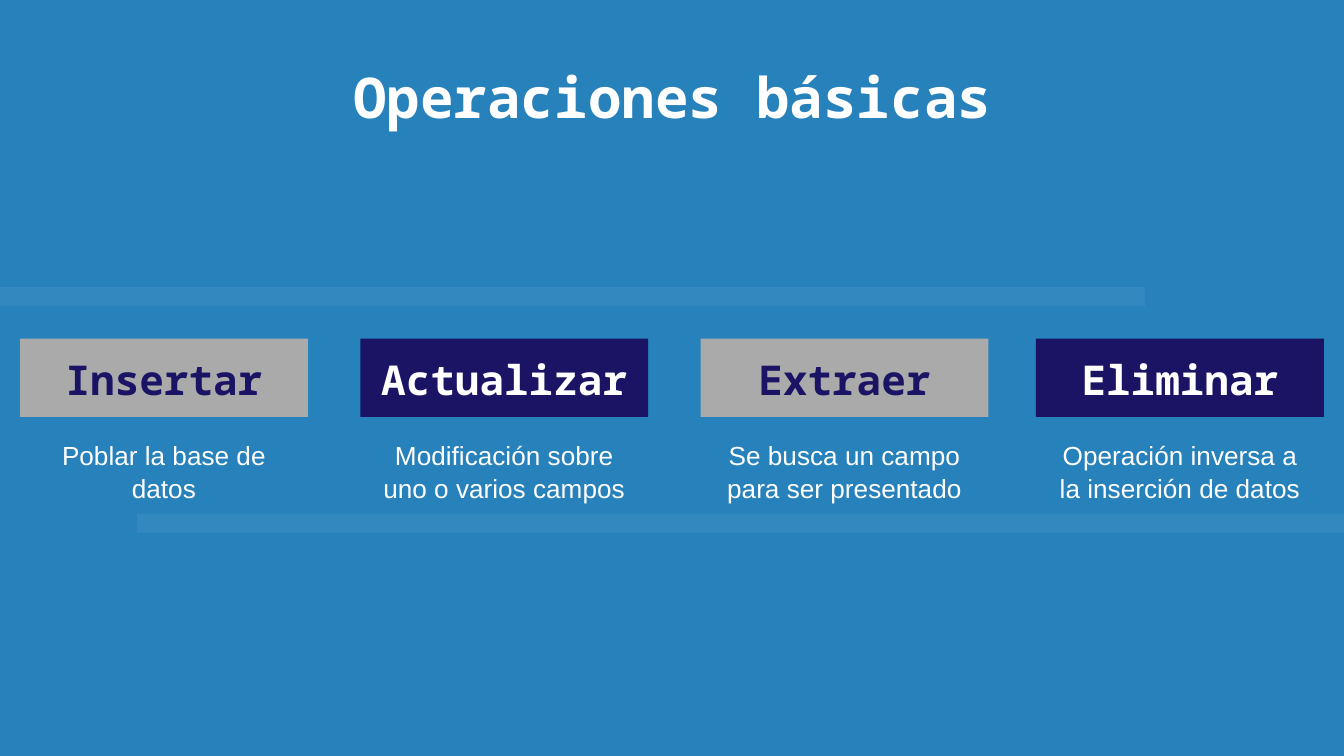
from dataclasses import dataclass

from lxml import etree
from pptx import Presentation
from pptx.dml.color import RGBColor
from pptx.enum.shapes import MSO_SHAPE
from pptx.enum.text import MSO_ANCHOR, MSO_AUTO_SIZE, PP_ALIGN
from pptx.oxml.ns import qn
from pptx.shapes.autoshape import Shape
from pptx.slide import Slide
from pptx.text.text import TextFrame
from pptx.util import Cm, Pt

RECT = MSO_SHAPE.RECTANGLE
TOP, BOTTOM = MSO_ANCHOR.TOP, MSO_ANCHOR.BOTTOM
CENTER = PP_ALIGN.CENTER
FIXED = MSO_AUTO_SIZE.NONE


@dataclass(frozen=True)
class Theme:
    back: str = "2781BB"
    white: str = "FFFFFF"
    navy: str = "1B1464"
    gray: str = "AAAAAA"
    mono: str = "Noto Sans Mono"
    sans: str = "Arial"
    title: int = 30
    head: int = 22
    body: int = 14


@dataclass(frozen=True)
class Card:
    left: float
    head: str
    body: str
    fill: str
    ink: str


@dataclass(frozen=True)
class Bar:
    left: float
    top: float
    width: float


THEME = Theme()
WIDTH, HEIGHT = 25.4, 14.29
CARD_W = 5.44
GRAY = (THEME.gray, THEME.navy)
NAVY = (THEME.navy, THEME.white)

BARS = [Bar(0, 5.43, 21.64), Bar(2.59, 9.71, 22.81)]
CARDS = [
    Card(0.38, "Insertar", "Poblar la base de datos", *GRAY),
    Card(6.81, "Actualizar", "Modificación sobre uno o varios campos", *NAVY),
    Card(13.24, "Extraer", "Se busca un campo para ser presentado", *GRAY),
    Card(19.58, "Eliminar", "Operación inversa a la inserción de datos", *NAVY),
]


def write(frame: TextFrame, text: str, *, size: int, font: str,
          color: str = THEME.white, bold: bool = False,
          anchor: MSO_ANCHOR = TOP, pad: float = 0.25,
          space: float = 1.0) -> None:
    """Fill a frame with one centred paragraph; pad is its top and bottom inset in cm."""
    frame.word_wrap = True
    frame.auto_size = FIXED
    frame.vertical_anchor = anchor
    frame.margin_left = frame.margin_right = Cm(0.25)
    frame.margin_top = frame.margin_bottom = Cm(pad)
    line = frame.paragraphs[0]
    line.alignment = CENTER
    line.line_spacing = space
    run = line.add_run()
    run.text = text
    run.font.size = Pt(size)
    run.font.name = font
    run.font.bold = bold
    run.font.color.rgb = RGBColor.from_string(color)


def add_rect(slide: Slide, left: float, top: float, width: float,
             height: float, fill: str) -> Shape:
    rect = slide.shapes.add_shape(RECT, Cm(left), Cm(top), Cm(width), Cm(height))
    rect.shadow.inherit = False
    rect.fill.solid()
    rect.fill.fore_color.rgb = RGBColor.from_string(fill)
    rect.line.fill.background()
    return rect


def add_bar(slide: Slide, bar: Bar) -> None:
    rect = add_rect(slide, bar.left, bar.top, bar.width, 0.36, THEME.white)
    color = rect.fill._xPr.find(f".//{qn('a:srgbClr')}")
    etree.SubElement(color, qn("a:alpha"), val="6000")


def add_card(slide: Slide, card: Card) -> None:
    head = add_rect(slide, card.left, 6.4, CARD_W, 1.48, card.fill)
    write(head.text_frame, card.head, size=THEME.head, font=THEME.mono,
          color=card.ink, bold=True, anchor=BOTTOM)
    body = slide.shapes.add_textbox(Cm(card.left), Cm(8.13), Cm(CARD_W), Cm(1.45))
    write(body.text_frame, card.body, size=THEME.body, font=THEME.sans,
          pad=0.13, space=1.07)


def add_title(slide: Slide, text: str) -> None:
    title = slide.shapes.title
    title.left, title.top = Cm(3.56), Cm(0.94)
    title.width, title.height = Cm(18.29), Cm(1.85)
    write(title.text_frame, text, size=THEME.title, font=THEME.mono, bold=True)


def main() -> None:
    deck = Presentation()
    deck.slide_width, deck.slide_height = Cm(WIDTH), Cm(HEIGHT)
    slide = deck.slides.add_slide(deck.slide_layouts.get_by_name("Title Only"))
    slide.background.fill.solid()
    slide.background.fill.fore_color.rgb = RGBColor.from_string(THEME.back)
    for bar in BARS:
        add_bar(slide, bar)
    add_title(slide, "Operaciones básicas")
    for card in CARDS:
        add_card(slide, card)
    deck.save("out.pptx")


if __name__ == "__main__":
    main()
